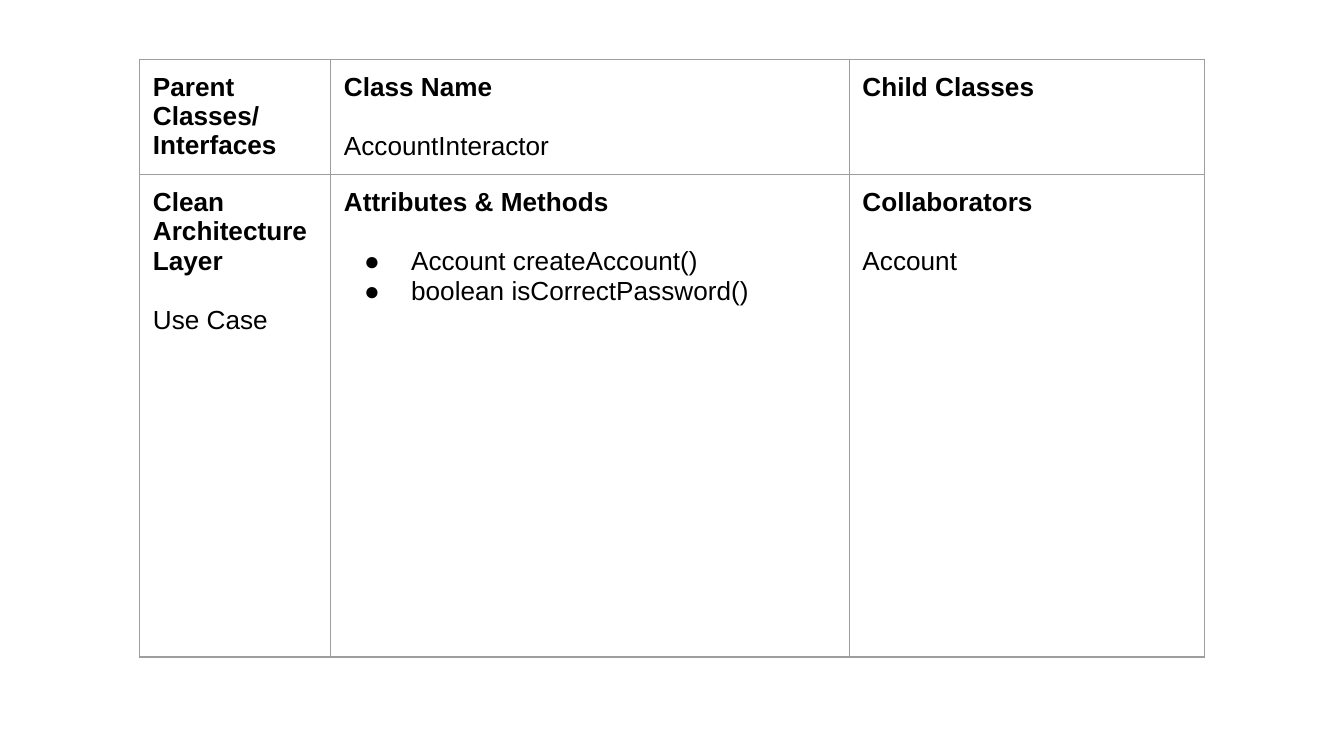
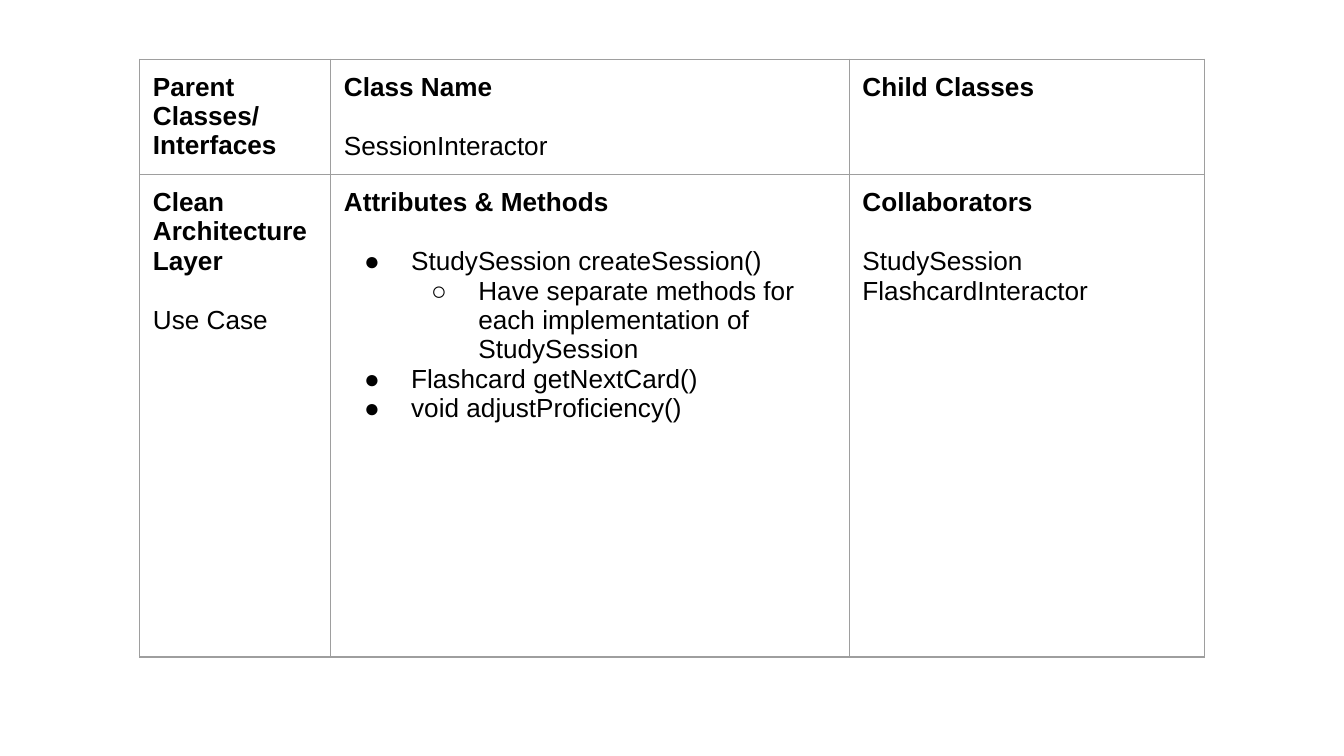
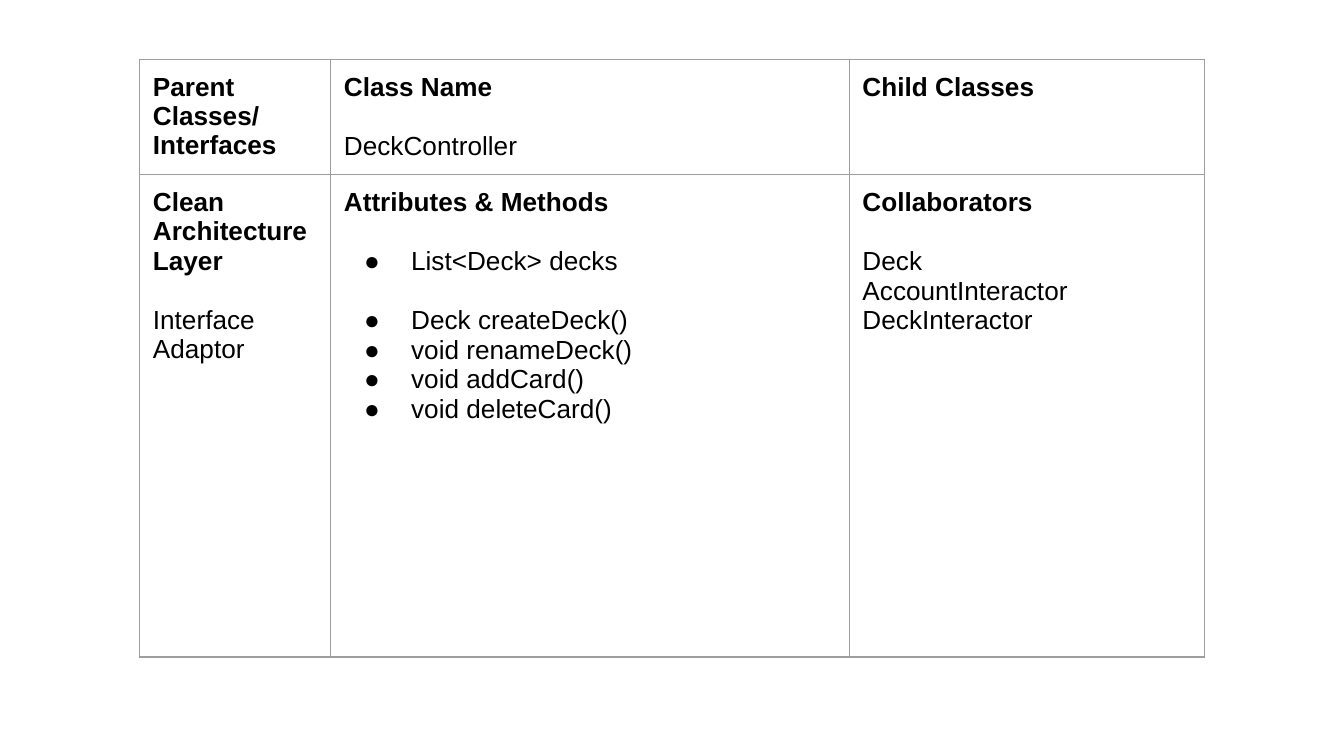
import pptx
import pptx.dml.color
import pptx.oxml
import pptx.oxml.ns
import pptx.util
from dataclasses import dataclass

Cm = pptx.util.Cm
Pt = pptx.util.Pt
qn = pptx.oxml.ns.qn


@dataclass(frozen=True)
class Theme:
    ink: str = "000000"
    rule: str = "9E9E9E"
    font: str = "Arial"
    size: float = 14
    gap: float = 16
    width: float = 0.75


@dataclass(frozen=True)
class Line:
    text: str
    bold: bool = False
    gap: bool = False
    level: int = -1  # -1 is plain text, 0 and up are bullet levels


COLS = (3.61, 9.8, 6.71)
ROWS = (2.18, 9.12)
LEFT, TOP = 2.64, 1.12
INSET = 0.25
STEP, HANG = 1.27, 0.89
MARKS = "●○"


def put(obj, form):
    for name, value in form.items():
        setattr(obj, name, value)


def node(parent, tag, **attrs):
    child = parent.makeelement(qn(tag), attrs)
    parent.append(child)
    return child


class Deck:
    def __init__(self, theme):
        self.theme = theme
        self.file = pptx.Presentation()
        put(self.file, {"slide_width": Cm(25.4), "slide_height": Cm(14.29)})
        self.slide = None

    def page(self):
        self.slide = self.file.slides.add_slide(self.file.slide_layouts[6])

    def bullet(self, par, level):
        par.level = level
        props = par._p.get_or_add_pPr()
        props.set("marL", str(Cm(STEP * (level + 1))))
        props.set("indent", str(-Cm(HANG)))
        node(node(props, "a:buClr"), "a:srgbClr", val=self.theme.ink)
        node(props, "a:buFont", typeface=self.theme.font)
        node(props, "a:buChar", char=MARKS[level])

    def line(self, par, item):
        if item.level >= 0:
            self.bullet(par, item.level)
        if item.gap:
            par.space_before = Pt(self.theme.gap)
        run = par.add_run()
        run.text = item.text
        put(run.font, {"name": self.theme.font, "size": Pt(self.theme.size),
                       "bold": item.bold})
        run.font.color.rgb = pptx.dml.color.RGBColor.from_string(self.theme.ink)

    def border(self, cell):
        props = cell._tc.get_or_add_tcPr()
        for side in ("a:lnL", "a:lnR", "a:lnT", "a:lnB"):
            edge = node(props, side, w=str(Pt(self.theme.width)))
            node(node(edge, "a:solidFill"), "a:srgbClr", val=self.theme.rule)

    def cell(self, cell, lines):
        sides = ("left", "right", "top", "bottom")
        put(cell, {f"margin_{side}": Cm(INSET) for side in sides})
        self.border(cell)
        cell.fill.background()
        frame = cell.text_frame
        for i, item in enumerate(lines):
            self.line(frame.add_paragraph() if i else frame.paragraphs[0], item)

    def table(self, grid):
        shape = self.slide.shapes.add_table(
            len(ROWS), len(COLS), Cm(LEFT), Cm(TOP), Cm(sum(COLS)), Cm(sum(ROWS)))
        table = shape.table
        put(table, {"first_row": False, "horz_banding": False})
        for col, width in zip(table.columns, COLS):
            col.width = Cm(width)
        for row, height, cells in zip(table.rows, ROWS, grid):
            row.height = Cm(height)
            for cell, lines in zip(row.cells, cells):
                self.cell(cell, lines)

    def card(self, name, layer, members, partners):
        """Add a slide with the card of one class."""
        self.page()
        self.table([
            [[Line("Parent Classes/", bold=True), Line("Interfaces", bold=True)],
             block("Class Name", name),
             block("Child Classes")],
            [block("Clean Architecture Layer", layer),
             [Line("Attributes & Methods", bold=True), *members],
             block("Collaborators", *partners)],
        ])


def block(head, *body):
    """Return a bold heading and, after a gap, its plain lines."""
    return [Line(head, bold=True),
            *(Line(text, gap=not i) for i, text in enumerate(body))]


def item(text, gap=False, level=0):
    return Line(text, gap=gap, level=level)


CARDS = [
    ("AccountInteractor", "Use Case",
     [item("Account createAccount()", gap=True),
      item("boolean isCorrectPassword()")],
     ["Account"]),
    ("SessionInteractor", "Use Case",
     [item("StudySession createSession()", gap=True),
      item("Have separate methods for each implementation of StudySession",
           level=1),
      item("Flashcard getNextCard()"),
      item("void adjustProficiency()")],
     ["StudySession", "FlashcardInteractor"]),
    ("DeckController", "Interface Adaptor",
     [item("List<Deck> decks", gap=True),
      item("Deck createDeck()", gap=True),
      item("void renameDeck()"),
      item("void addCard()"),
      item("void deleteCard()")],
     ["Deck", "AccountInteractor", "DeckInteractor"]),
]


def main():
    deck = Deck(Theme())
    for card in CARDS:
        deck.card(*card)
    deck.file.save("out.pptx")


if __name__ == "__main__":
    main()
